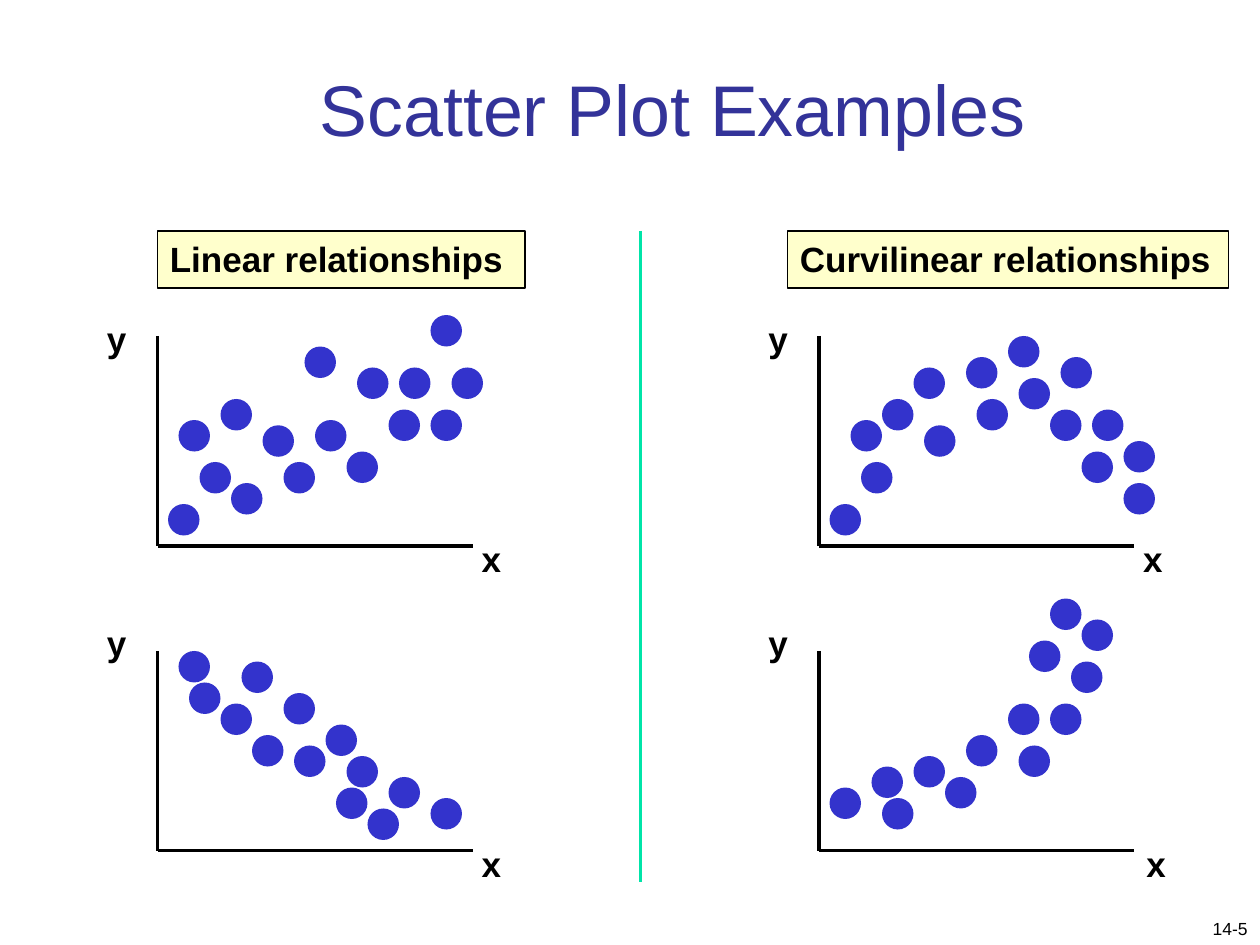
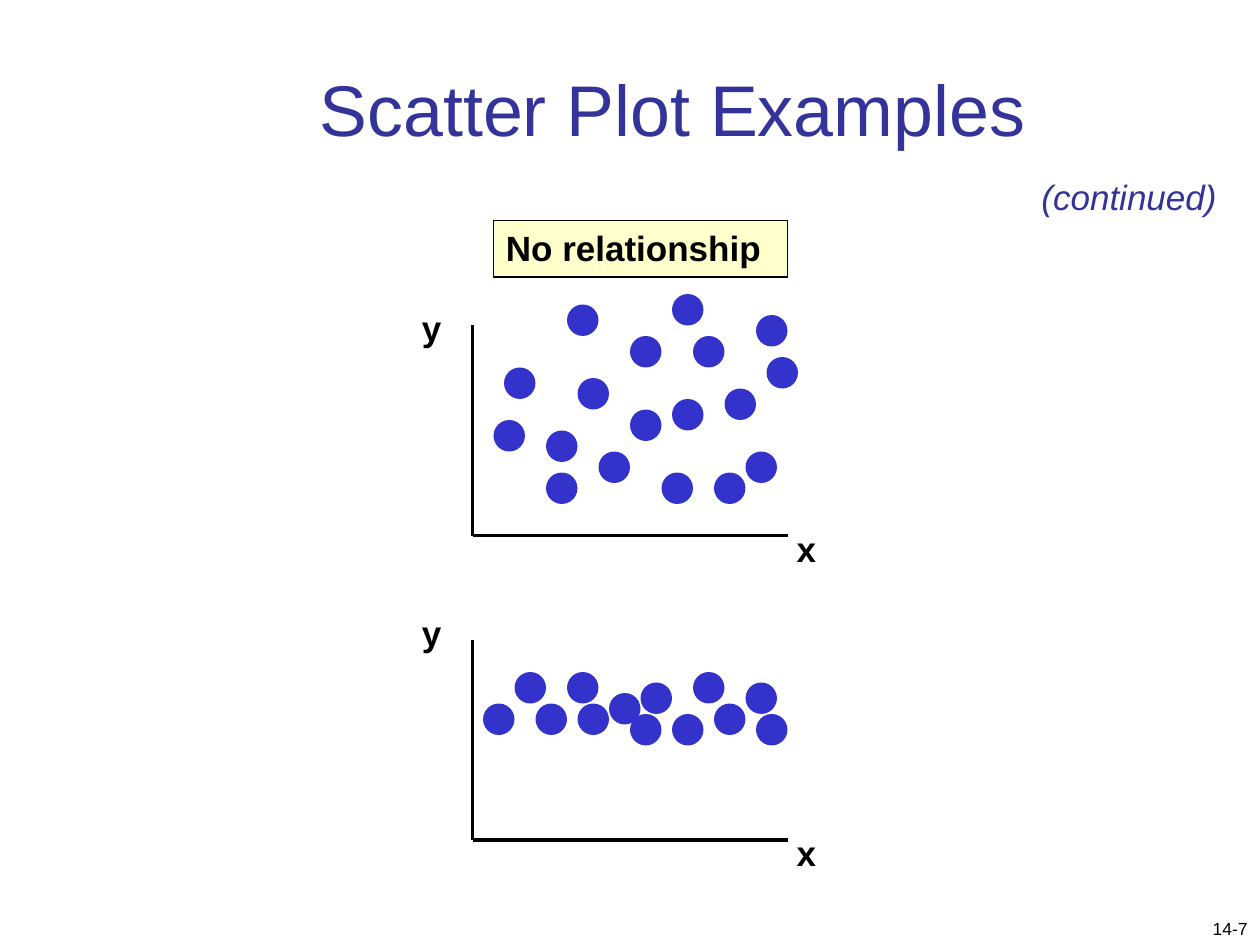
from pptx import Presentation
from pptx.dml.color import RGBColor
from pptx.enum.shapes import MSO_CONNECTOR as Connector, MSO_SHAPE as Shape
from pptx.enum.text import MSO_ANCHOR as Anchor, PP_ALIGN as Align
from pptx.oxml.ns import qn
from pptx.util import Emu, Pt
from lxml.etree import SubElement

PX = 7620
STEP = 10
DOT = 30
AXIS_WIDTH = 300

INK = "000000"
TITLE_BLUE = "333399"
DOT_BLUE = "3333CC"
CAPTION_YELLOW = "FFFFCC"
DIVIDER_GREEN = "00E4A8"

TITLE = {"size": Pt(41), "bold": False}
LABEL = {"size": Pt(20), "bold": True}
CONTINUED = {"size": Pt(20), "italic": True}
PAGE_NUMBER = {"size": Pt(10)}

RISING = [
    (1, 16), (4, 12), (26, -2), (28, 3), (7, 14), (23, 3), (18, 11), (19, 3),
    (14, 1), (2, 8), (6, 6), (10, 8.5), (22, 7), (15, 8), (12, 12), (26, 7),
]
FALLING = [
    (20, 15), (3, 3), (26, 14), (8, 1), (18, 10), (22, 12), (12, 4),
    (2, 0), (6, 5), (9, 8), (17, 13), (16, 7), (13, 9),
]
ARCHED = [
    (1, 16), (4, 12), (29, 10), (23, 2), (9, 3), (29, 14), (25, 11), (19, 4),
    (14, 2), (3, 8), (6, 6), (10, 8.5), (22, 7), (15, 6), (18, 0), (26, 7),
]
ACCELERATING = [
    (1, 13), (5, 11), (25, -3), (24, 1), (6, 14), (20, -1), (19, 9),
    (18, 5), (22, -5), (9, 10), (22, 5), (14, 8), (12, 12),
]
SCATTERED = [
    (19, -3), (2, 9), (26, 12), (28, 3), (7, 14), (9, -2), (19, 7), (21, 1), (27, -1),
    (15, 1), (7, 10), (10, 5), (23, 14), (15, 8), (12, 12), (3, 4), (18, 14), (24, 6),
]
FLAT = [
    (27, 7), (6, 6), (26, 4), (9, 3), (21, 3), (23, 6), (13, 5),
    (1, 6), (4, 3), (10, 6), (19, 7), (16, 4), (15, 7),
]


def px(*lengths):
    return [Emu(int(length * PX)) for length in lengths]


def color(value):
    return RGBColor.from_string(value)


def apply(target, values):
    for name, value in values.items():
        setattr(target, name, value)


def write(shape, text, font, ink=INK, align=Align.LEFT, anchor=Anchor.TOP, wrap=True):
    apply(shape.text_frame, {"word_wrap": wrap, "vertical_anchor": anchor})
    para = shape.text_frame.paragraphs[0]
    para.alignment = align
    span = para.add_run()
    span.text = text
    apply(span.font, {"name": "Arial", **font})
    span.font.color.rgb = color(ink)


def add_text(page, box, text, font, **options):
    write(page.shapes.add_textbox(*px(*box)), text, font, **options)


def add_line(page, start, end, ink=INK, weight=2):
    line = page.shapes.add_connector(Connector.STRAIGHT, *px(*start, *end))
    line.line.color.rgb = color(ink)
    line.line.width = Pt(weight)
    SubElement(line._element.spPr, qn("a:effectLst"))


def add_filled(page, kind, box, fill):
    shape = page.shapes.add_shape(kind, *px(*box))
    shape.shadow.inherit = False
    shape.fill.solid()
    shape.fill.fore_color.rgb = color(fill)
    shape.line.fill.background()
    return shape


def add_caption(page, left, top, width, text):
    caption = add_filled(page, Shape.RECTANGLE, (left, top, width, 54), CAPTION_YELLOW)
    caption.line.color.rgb = color(INK)
    caption.line.width = Pt(1)
    write(caption, text, LABEL)


def add_plot(page, left, top, height, dots, x_label_offset=297):
    base = top + height
    add_line(page, (left, top), (left, base))
    add_line(page, (left, base), (left + AXIS_WIDTH, base))
    for across, down in dots:
        box = (left + across * STEP, top + down * STEP, DOT, DOT)
        add_filled(page, Shape.OVAL, box, DOT_BLUE)
    add_text(page, (left - 60, base - 224, 43, 52), "y", LABEL, wrap=False)
    add_text(page, (left + x_label_offset, base - 14, 43, 52), "x", LABEL, wrap=False)


def add_page(deck, number):
    page = deck.slides.add_slide(deck.slide_layouts[5])
    title = page.shapes.title
    apply(title, dict(zip(("left", "top", "width", "height"), px(130, 50, 1022, 100))))
    write(title, "Scatter Plot Examples", TITLE, TITLE_BLUE, Align.CENTER, Anchor.BOTTOM)
    add_text(page, (950, 859, 250, 41), number, PAGE_NUMBER,
             align=Align.RIGHT, anchor=Anchor.BOTTOM)
    return page


def build_relationships(deck):
    page = add_page(deck, "14-5")
    add_plot(page, 150, 320, 200, RISING)
    add_plot(page, 150, 620, 190, FALLING)
    add_plot(page, 780, 320, 200, ARCHED)
    add_plot(page, 780, 620, 190, ACCELERATING, x_label_offset=300)
    add_caption(page, 150, 220, 350, "Linear relationships")
    add_caption(page, 750, 220, 420, "Curvilinear relationships")
    add_line(page, (610, 220), (610, 840), DIVIDER_GREEN, 2.25)


def build_no_relationship(deck):
    page = add_page(deck, "14-7")
    add_plot(page, 450, 310, 200, SCATTERED)
    add_plot(page, 450, 610, 190, FLAT)
    add_caption(page, 470, 210, 280, "No relationship")
    add_text(page, (980, 161, 191, 52), "(continued)", CONTINUED, ink=TITLE_BLUE, wrap=False)


def main():
    deck = Presentation()
    deck.slide_width, deck.slide_height = px(1200, 900)
    build_relationships(deck)
    build_no_relationship(deck)
    deck.save("out.pptx")


if __name__ == "__main__":
    main()
